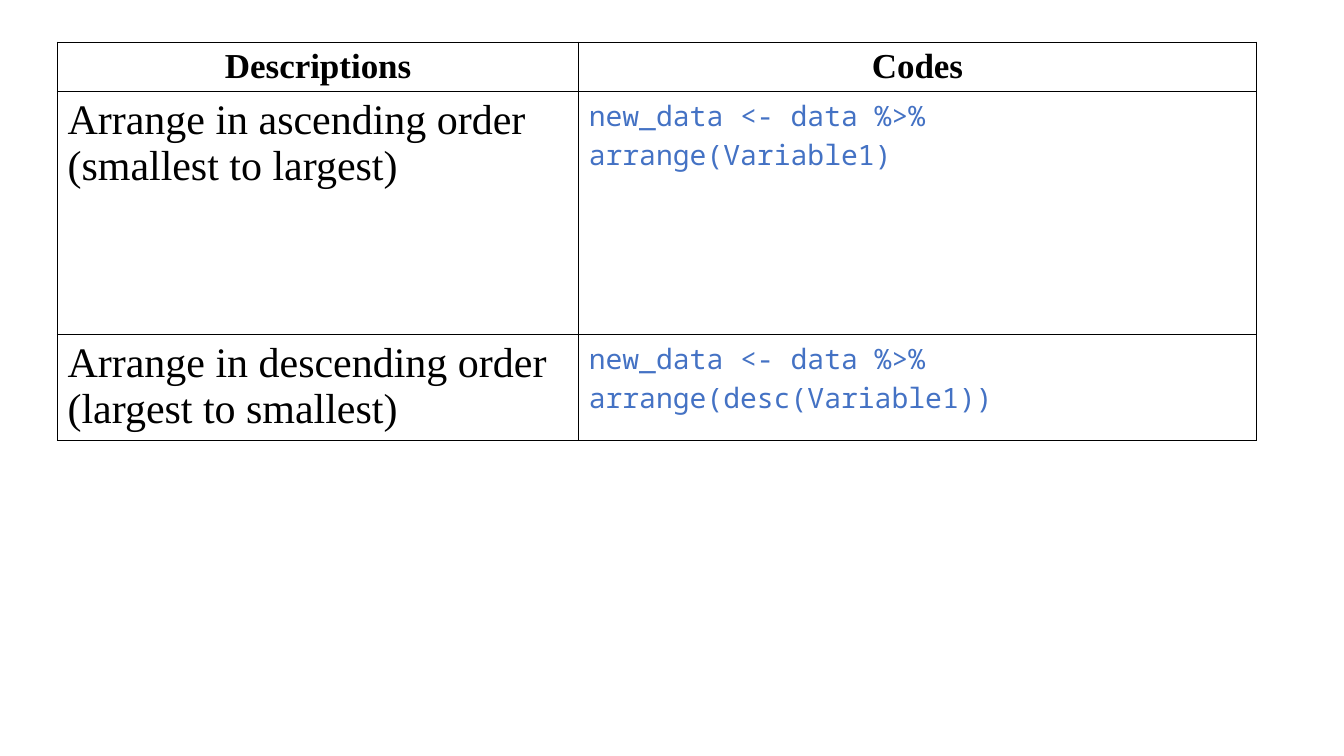
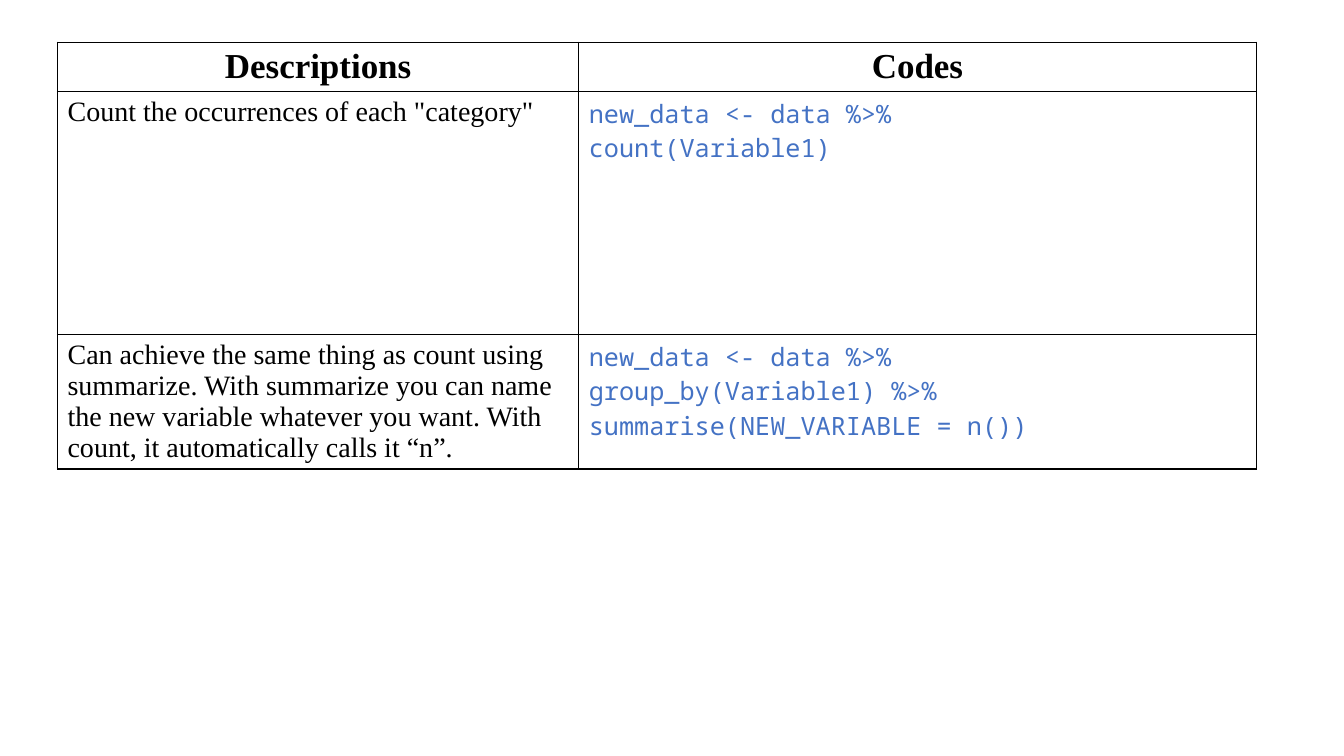
"""Build two slides of R data-wrangling snippets set out in tables."""
from pptx import Presentation
from pptx.dml.color import RGBColor as Rgb
from pptx.enum.text import PP_ALIGN as Align
from pptx.oxml import parse_xml
from pptx.oxml.ns import nsdecls
from pptx.util import Inches, Pt

BLACK = Rgb(0x00, 0x00, 0x00)
BLUE = Rgb(0x44, 0x72, 0xC4)
SERIF = "Times New Roman"
MONO = "Noto Sans Mono"

LEFT, TOP = 0.57, 0.42
COLS = [5.17, 6.72]
ROWS = [0.49, 2.41, 1.05]
HEADS = ["Descriptions", "Codes"]

PAGES = [
    (30, 20, [
        ("Arrange in ascending order (smallest to largest)",
         ["new_data <- data %>%", "arrange(Variable1)"]),
        ("Arrange in descending order (largest to smallest)",
         ["new_data <- data %>% arrange(desc(Variable1))"]),
    ]),
    (20, 18, [
        ('Count the occurrences of each "category"',
         ["new_data <- data %>%", "count(Variable1)"]),
        ("Can achieve the same thing as count using summarize. "
         "With summarize you can name the new variable whatever you want. "
         "With count, it automatically calls it “n”.",
         ["new_data <- data %>%",
          "group_by(Variable1) %>% summarise(NEW_VARIABLE = n())"]),
    ]),
]


def write(frame, lines, size, font=SERIF, color=BLACK, bold=False,
          align=Align.LEFT):
    for i, line in enumerate(lines):
        para = frame.add_paragraph() if i else frame.paragraphs[0]
        para.alignment = align
        run = para.add_run()
        run.text = line
        run.font.size = Pt(size)
        run.font.name = font
        run.font.bold = bold
        run.font.color.rgb = color


def rule(cell):
    props = cell._tc.get_or_add_tcPr()
    for i, side in enumerate(("lnL", "lnR", "lnT", "lnB")):
        props.insert(i, parse_xml(
            f'<a:{side} {nsdecls("a")} w="{Pt(1)}"><a:solidFill>'
            f'<a:srgbClr val="{BLACK}"/></a:solidFill></a:{side}>'))


def add_grid(slide):
    grid = slide.shapes.add_table(
        len(ROWS), len(COLS), Inches(LEFT), Inches(TOP),
        Inches(sum(COLS)), Inches(sum(ROWS))).table
    grid.first_row = grid.horz_banding = False
    for col, width in zip(grid.columns, COLS):
        col.width = Inches(width)
    for row, height in zip(grid.rows, ROWS):
        row.height = Inches(height)
    for cell in grid.iter_cells():
        cell.fill.background()
        rule(cell)
    return grid


def add_page(deck, size, code_size, items):
    grid = add_grid(deck.slides.add_slide(deck.slide_layouts[6]))
    for i, head in enumerate(HEADS):
        write(grid.cell(0, i).text_frame, [head], 25, bold=True,
              align=Align.CENTER)
    for i, (text, code) in enumerate(items, 1):
        write(grid.cell(i, 0).text_frame, [text], size)
        write(grid.cell(i, 1).text_frame, code, code_size, font=MONO,
              color=BLUE)


def main():
    deck = Presentation()
    deck.slide_width, deck.slide_height = Inches(13.33), Inches(7.5)
    for page in PAGES:
        add_page(deck, *page)
    deck.save("out.pptx")


if __name__ == "__main__":
    main()
